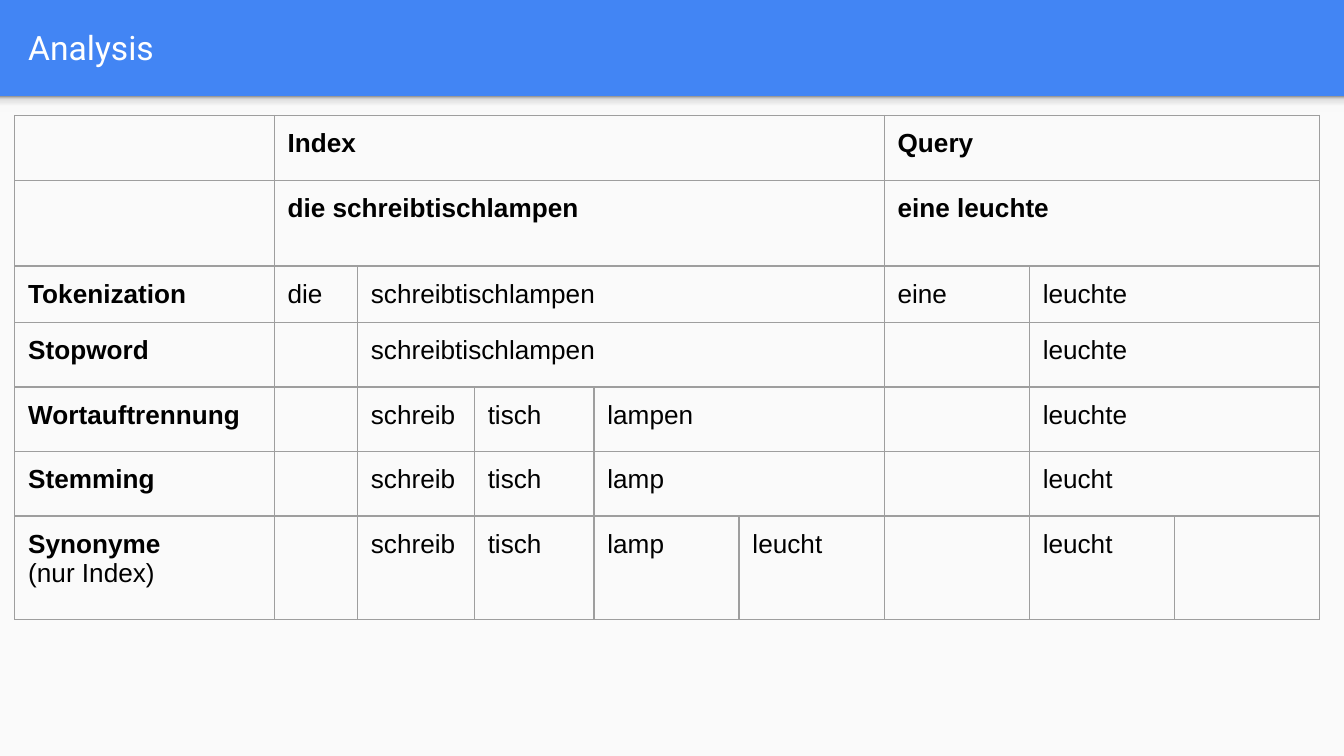
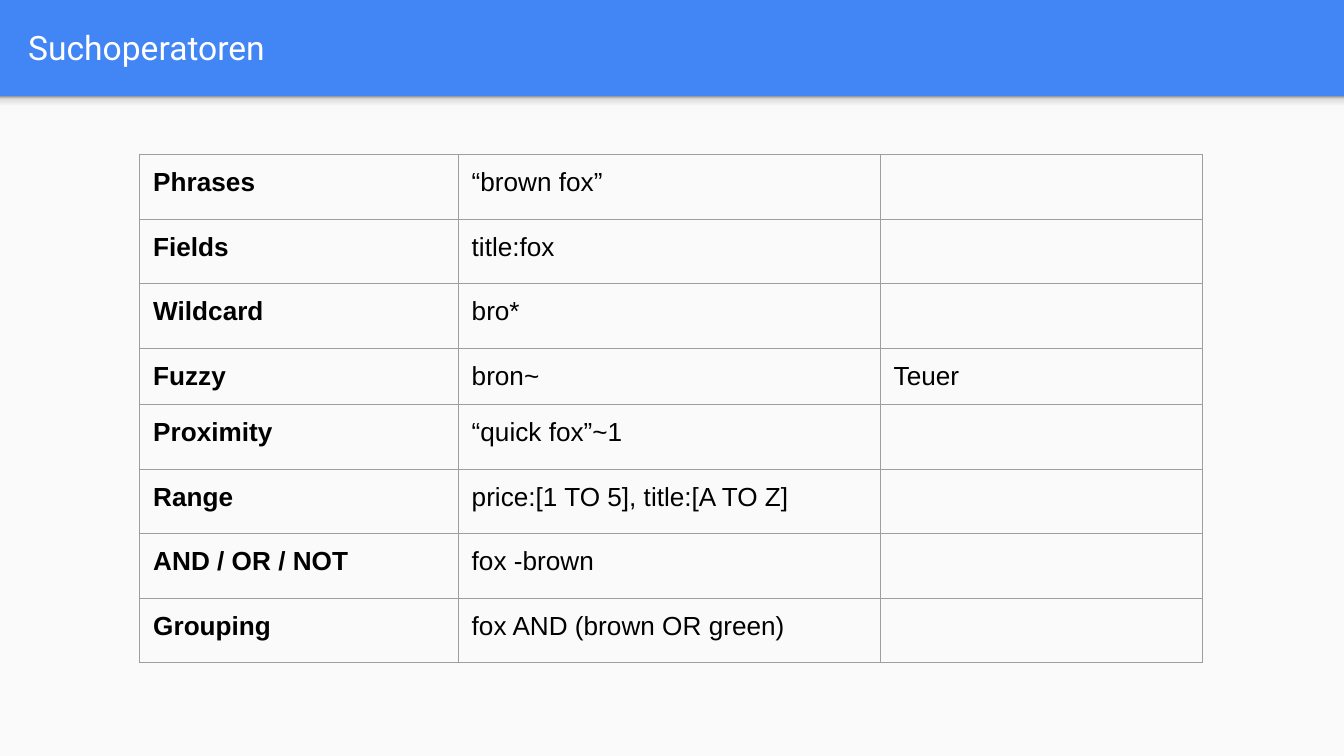
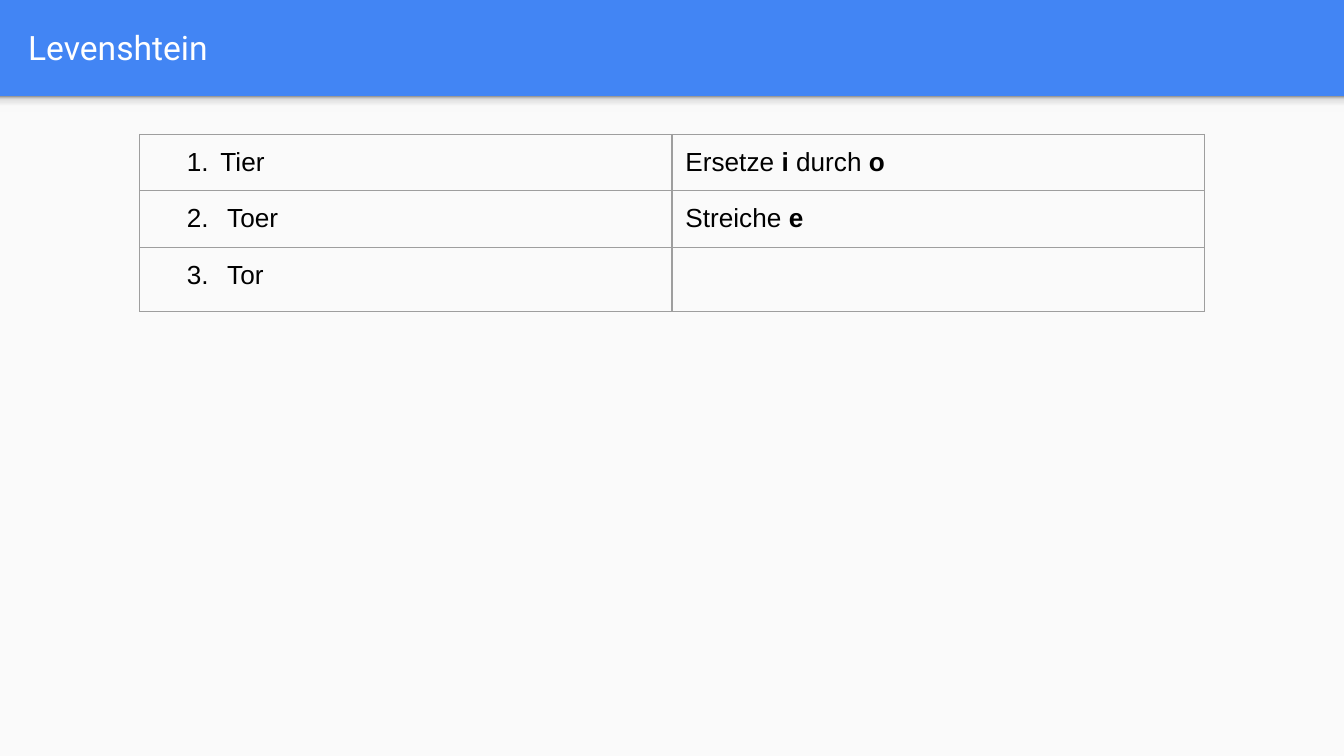
from lxml import etree
from pptx import Presentation
from pptx.dml.color import RGBColor
from pptx.enum.shapes import MSO_SHAPE
from pptx.enum.text import MSO_ANCHOR, MSO_AUTO_SIZE, PP_ALIGN
from pptx.oxml.ns import qn
from pptx.util import Inches, Pt

RECT = MSO_SHAPE.RECTANGLE
MIDDLE = MSO_ANCHOR.MIDDLE
NO_FIT = MSO_AUTO_SIZE.NONE
LEFT = PP_ALIGN.LEFT

BLUE = RGBColor(0x42, 0x85, 0xF4)
PAPER = RGBColor(0xFA, 0xFA, 0xFA)
WHITE = RGBColor(0xFF, 0xFF, 0xFF)
BLACK = RGBColor(0x00, 0x00, 0x00)
GREY = RGBColor(0x9E, 0x9E, 0x9E)
PALE = RGBColor(0xF9, 0xF9, 0xF9)
MIST = RGBColor(0xDE, 0xDE, 0xDE)
DUSK = RGBColor(0x99, 0x99, 0x99)
SHADE = [(0, PALE), (36, PALE), (80, MIST), (100, DUSK)]

HEAD_FONT, CELL_FONT = "Roboto", "Arial"
WIDTH = 10
HEIGHT = WIDTH * 9 / 16
PANEL = 4.91
BAND = HEIGHT - PANEL
INSET = Inches(0.1)

# In a cell, "|" switches bold on and off, and None extends the cell to its left.
SLIDES = [
    {
        "title": "Analysis",
        "at": (0.11, 0.86),
        "cols": [1.93, 0.62, 0.87, 0.89] + [1.08] * 5,
        "rows": [0.46, 0.64, 0.38, 0.38, 0.38, 0.39, 0.77],
        "cells": [
            ["", "|Index", None, None, None, None, "|Query", None, None],
            ["", "|die schreibtischlampen", None, None, None, None,
             "|eine leuchte", None, None],
            ["|Tokenization", "die", "schreibtischlampen", None, None, None,
             "eine", "leuchte", None],
            ["|Stopword", "", "schreibtischlampen", None, None, None,
             "", "leuchte", None],
            ["|Wortauftrennung", "", "schreib", "tisch", "lampen", None,
             "", "leuchte", None],
            ["|Stemming", "", "schreib", "tisch", "lamp", None,
             "", "leucht", None],
            ["|Synonyme\n(nur Index)", "", "schreib", "tisch", "lamp", "leucht",
             "", "leucht", ""],
        ],
    },
    {
        "title": "Suchoperatoren",
        "at": (1.04, 1.15),
        "cols": [2.37, 3.14, 2.4],
        "rows": [0.42] * 8,
        "cells": [
            ["|Phrases", "“brown fox”", ""],
            ["|Fields", "title:fox", ""],
            ["|Wildcard", "bro*", ""],
            ["|Fuzzy", "bron~", "Teuer"],
            ["|Proximity", "“quick fox”~1", ""],
            ["|Range", "price:[1 TO 5], title:[A TO Z]", ""],
            ["|AND / OR / NOT", "fox -brown", ""],
            ["|Grouping", "fox AND (brown OR green)", ""],
        ],
    },
    {
        "title": "Levenshtein",
        "at": (1.04, 1),
        "cols": [3.96] * 2,
        "rows": [0.42] * 3,
        "numbered": True,
        "cells": [
            ["Tier", "Ersetze |i| durch |o"],
            [" Toer", "Streiche |e"],
            [" Tor", ""],
        ],
    },
]


def set_inset(box):
    box.margin_left = box.margin_right = INSET
    box.margin_top = box.margin_bottom = INSET


def add_run(para, text, font, size, color, bold=False):
    run = para.add_run()
    run.text = text
    run.font.name = font
    run.font.size = Pt(size)
    run.font.color.rgb = color
    run.font.bold = bold


def add_rect(slide, top, height):
    rect = slide.shapes.add_shape(
        RECT, 0, Inches(top), Inches(WIDTH), Inches(height))
    rect.shadow.inherit = False
    rect.line.fill.background()
    return rect


def set_shade(shape):
    """Fill the shape with the SHADE stops, running from bottom to top."""
    shape.fill.gradient()
    shape.fill.gradient_angle = 90
    stops = shape.element.find(".//" + qn("a:gsLst"))
    for stop in list(stops):
        stops.remove(stop)
    for place, color in SHADE:
        stop = etree.SubElement(stops, qn("a:gs"), pos=str(place * 1000))
        etree.SubElement(stop, qn("a:srgbClr"), val=str(color))


def dress_layout(layout, slide):
    """Draw the shared panel and band shadow, then move them to the layout."""
    for holder in list(layout.placeholders)[1:]:
        holder.element.getparent().remove(holder.element)
    panel = add_rect(slide, BAND, PANEL)
    panel.fill.solid()
    panel.fill.fore_color.rgb = PAPER
    shadow = add_rect(slide, BAND, 0.12)
    set_shade(shadow)
    for spot, shape in enumerate((panel, shadow), 2):
        layout.shapes.element.insert(spot, shape.element)


def set_title(slide, text):
    title = slide.shapes.title
    title.left, title.top = Inches(0.11), Inches(0.02)
    title.width, title.height = Inches(9.65), Inches(0.66)
    frame = title.text_frame
    frame.auto_size = NO_FIT
    frame.vertical_anchor = MIDDLE
    set_inset(frame)
    para = frame.paragraphs[0]
    para.alignment = LEFT
    add_run(para, text, HEAD_FONT, 18, WHITE)


def set_border(cell):
    props = cell._tc.get_or_add_tcPr()
    for side in ("a:lnL", "a:lnR", "a:lnT", "a:lnB"):
        line = etree.SubElement(props, qn(side), w=str(Pt(0.75)))
        fill = etree.SubElement(line, qn("a:solidFill"))
        etree.SubElement(fill, qn("a:srgbClr"), val=str(GREY))


def set_number(para, start):
    props = para._p.get_or_add_pPr()
    props.set("marL", str(Inches(0.5)))
    props.set("indent", str(Inches(-0.25)))
    etree.SubElement(props, qn("a:buAutoNum"),
                     type="arabicPeriod", startAt=str(start))


def set_empty(para):
    """Give an empty paragraph its font, which sets the least row height."""
    end = etree.SubElement(para._p, qn("a:endParaRPr"), sz="1800")
    etree.SubElement(end, qn("a:latin"), typeface=CELL_FONT)


def fill_cell(cell, text):
    frame = cell.text_frame
    if not text:
        set_empty(frame.paragraphs[0])
        return
    for row, line in enumerate(text.split("\n")):
        para = frame.add_paragraph() if row else frame.paragraphs[0]
        for part, words in enumerate(line.split("|")):
            if words:
                add_run(para, words, CELL_FONT, 14, BLACK, part % 2 == 1)


def add_grid(slide, data):
    cols, rows = data["cols"], data["rows"]
    left, top = data["at"]
    grid = slide.shapes.add_table(
        len(rows), len(cols), Inches(left), Inches(top),
        Inches(sum(cols)), Inches(sum(rows))).table
    grid.first_row = grid.horz_banding = False
    for col, width in zip(grid.columns, cols):
        col.width = Inches(width)
    for row, height in zip(grid.rows, rows):
        row.height = Inches(height)
    for r, texts in enumerate(data["cells"]):
        for c, text in enumerate(texts):
            cell = grid.cell(r, c)
            set_inset(cell)
            set_border(cell)
            cell.fill.background()
            fill_cell(cell, text)
            if c == 0 and data.get("numbered"):
                set_number(cell.text_frame.paragraphs[0], r + 1)
            if text is None:
                continue
            end = c
            while end + 1 < len(texts) and texts[end + 1] is None:
                end += 1
            if end > c:
                cell.merge(grid.cell(r, end))


def main():
    deck = Presentation()
    deck.slide_width, deck.slide_height = Inches(WIDTH), Inches(HEIGHT)
    back = deck.slide_master.background.fill
    back.solid()
    back.fore_color.rgb = BLUE
    layout = deck.slide_layouts[5]
    for spot, data in enumerate(SLIDES):
        slide = deck.slides.add_slide(layout)
        if spot == 0:
            dress_layout(layout, slide)
        set_title(slide, data["title"])
        add_grid(slide, data)
    deck.save("out.pptx")


if __name__ == "__main__":
    main()
